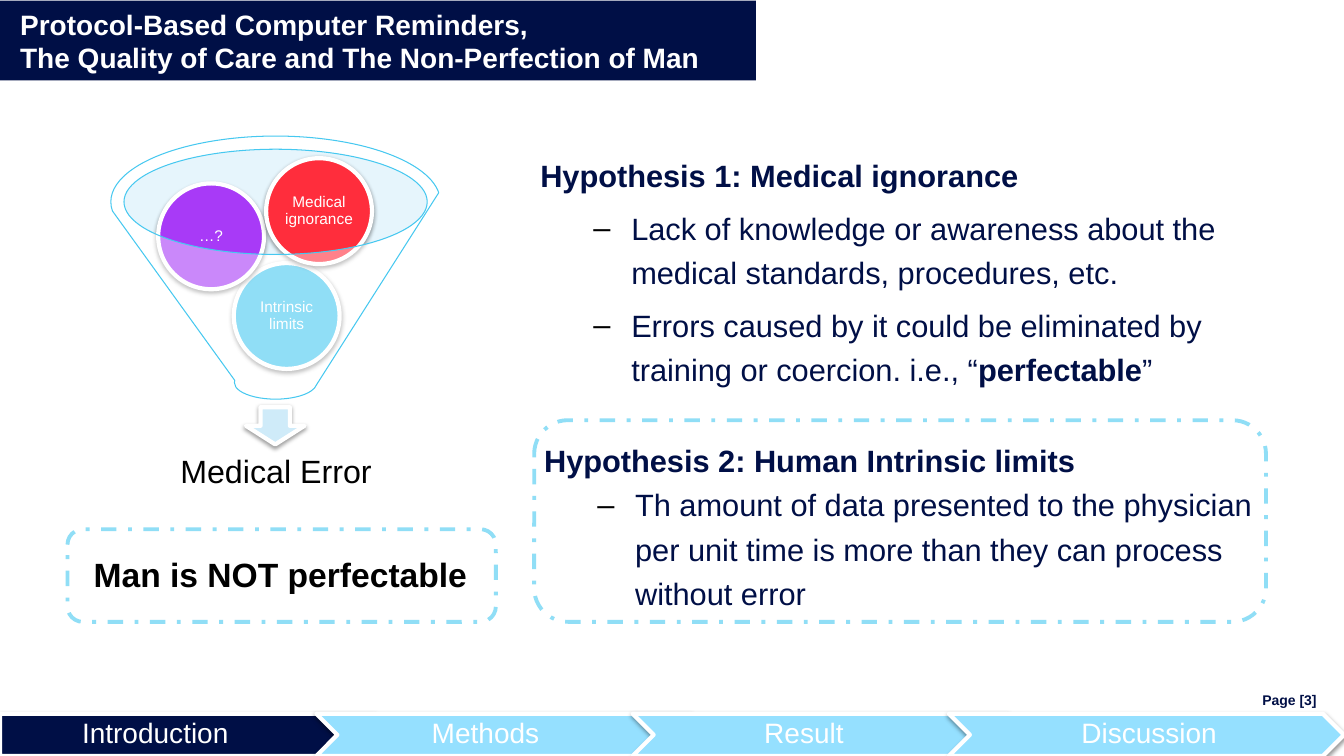
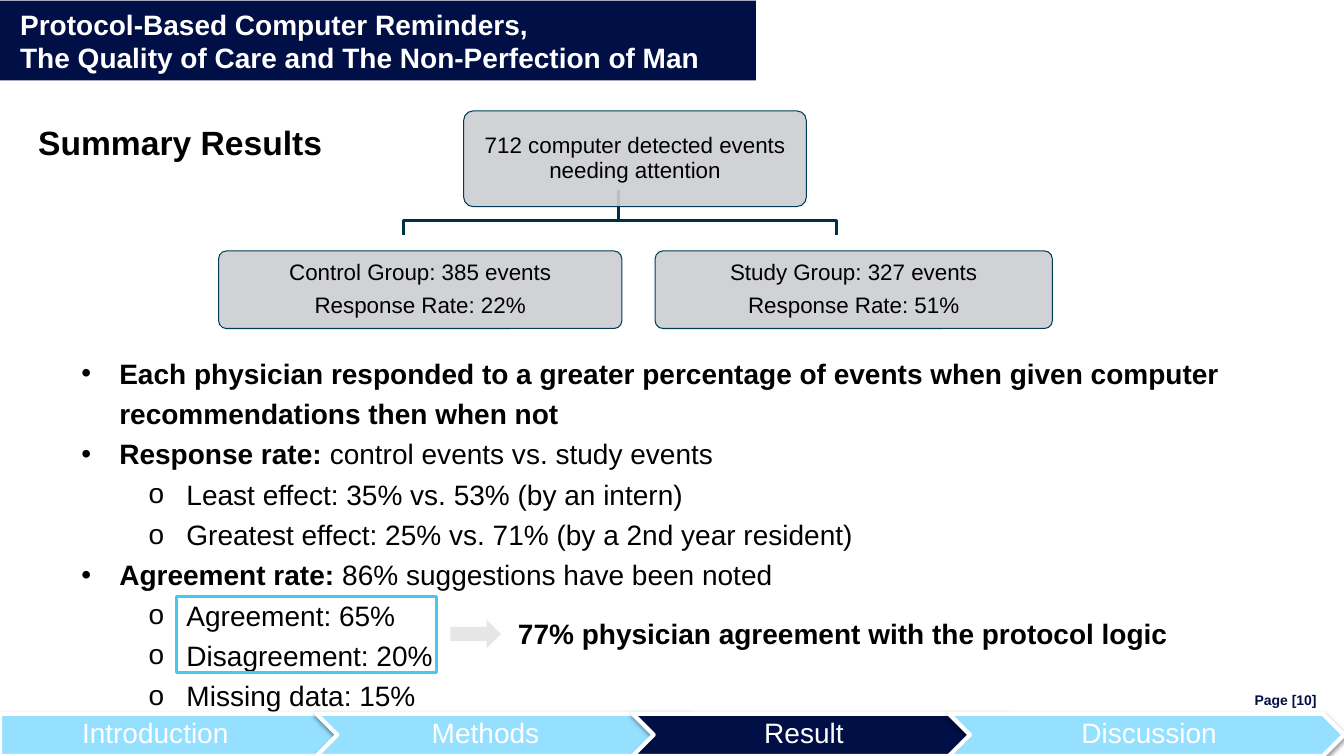
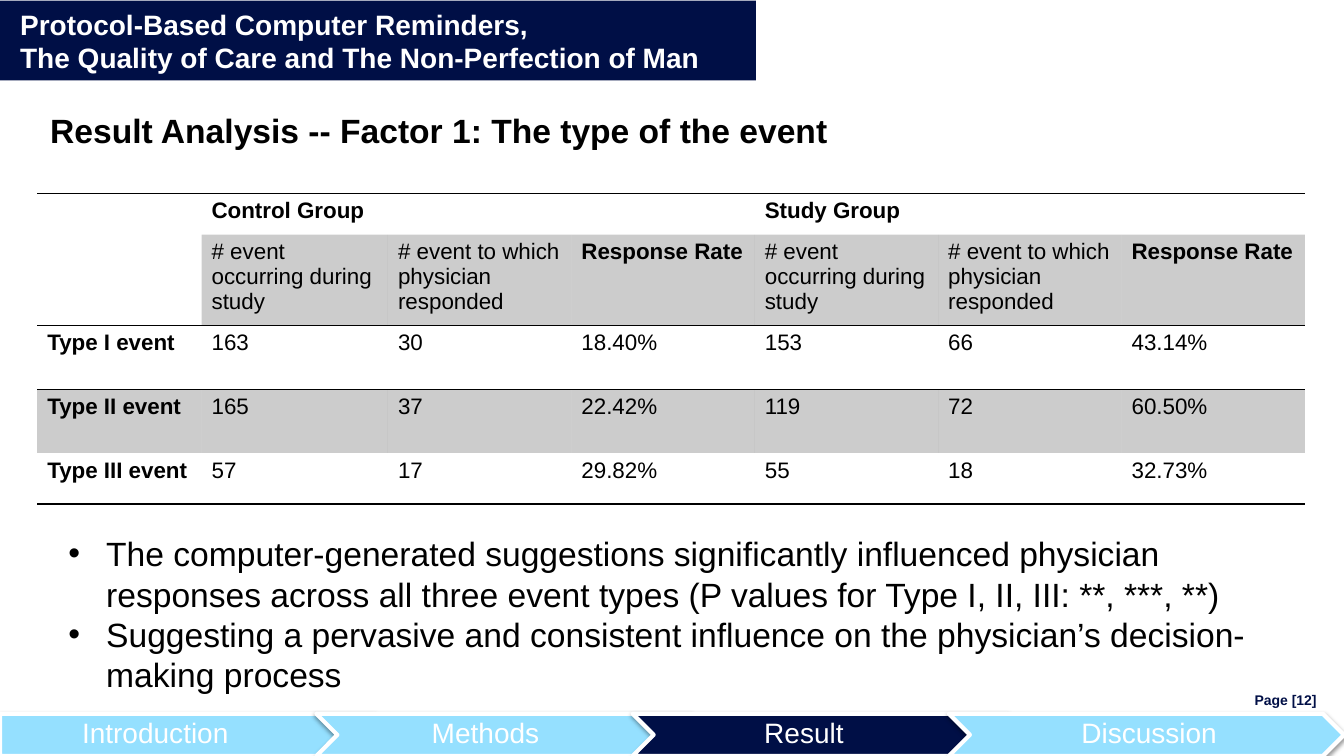
from dataclasses import dataclass
from functools import partial
from typing import NamedTuple

from lxml import etree
from pptx import Presentation
from pptx.dml.color import RGBColor
from pptx.enum.dml import MSO_LINE
from pptx.enum.shapes import MSO_SHAPE
from pptx.enum.text import MSO_ANCHOR, PP_ALIGN
from pptx.oxml.ns import qn
from pptx.util import Pt

LEFT, CENTER, RIGHT = PP_ALIGN.LEFT, PP_ALIGN.CENTER, PP_ALIGN.RIGHT
TOP, MIDDLE = MSO_ANCHOR.TOP, MSO_ANCHOR.MIDDLE
RECTANGLE, ROUNDED, OVAL = MSO_SHAPE.RECTANGLE, MSO_SHAPE.ROUNDED_RECTANGLE, MSO_SHAPE.OVAL
PENTAGON, CHEVRON, FUNNEL = MSO_SHAPE.PENTAGON, MSO_SHAPE.CHEVRON, MSO_SHAPE.FUNNEL
DOWN_ARROW, RIGHT_ARROW = MSO_SHAPE.DOWN_ARROW, MSO_SHAPE.RIGHT_ARROW
DASH_DOT = MSO_LINE.DASH_DOT

FONT = "Arial"
COLORS = {
    "navy": "000F46",
    "white": "FFFFFF",
    "black": "000000",
    "step": "95E0FF",
    "dashes": "90DEF6",
    "sky": "46C8F0",
    "rim": "C1E6F8",
    "down arrow": "CFEBF9",
    "purple": "A83AF7",
    "red": "FF2D3C",
    "card": "CCCED1",
    "card line": "003C55",
    "branch": "003044",
    "right arrow": "E6E6E6",
}
NO_STYLE_NO_GRID = "{2D5ABB26-0587-4C30-8999-92F81FD0307C}"
NO_INSETS = (0, 0, 0, 0)
BOX_INSETS = (7.2, 3.6, 7.2, 3.6)


class Box(NamedTuple):
    left: float
    top: float
    width: float
    height: float

    def lengths(self) -> list:
        return [Pt(value) for value in self]


class Run(NamedTuple):
    text: str
    bold: bool = False


@dataclass(frozen=True)
class Text:
    """One paragraph: a plain string, or runs that differ in weight."""
    content: str | tuple[Run, ...]
    size: float = 20
    color: str = "black"
    bold: bool = False
    align: PP_ALIGN = LEFT
    level: int = 0
    left: float = 0
    bullet: str = ""
    line_spacing: float | Pt = 1.0
    space_after: float = 0


class Line(NamedTuple):
    color: str
    width: float
    dash: MSO_LINE | None = None


class Step(NamedTuple):
    label: str
    indent: float


class Ball(NamedTuple):
    label: str
    color: str
    left: float
    top: float


class Card(NamedTuple):
    box: Box
    lines: tuple[str, ...]


HANGING = 27
Heading = partial(Text, size=24, bold=True)
Label = partial(Text, align=CENTER, line_spacing=0.9)
Hypothesis = partial(Text, size=22, color="navy", bold=True, line_spacing=1.2)
Dash = partial(Text, size=22, color="navy", level=3, left=65, bullet="‒",
               line_spacing=1.2, space_after=6)
Finding = partial(Text, left=HANGING, bullet="•", line_spacing=1.2)
Detail = partial(Text, level=1, left=75, bullet="o", line_spacing=1.2)
Conclusion = partial(Text, size=24, left=HANGING, bullet="•")

TITLE = ("Protocol-Based Computer Reminders,",
         "The Quality of Care and The Non-Perfection of Man")
STEPS = (Step("Introduction", 58.6), Step("Methods", 67.4),
         Step("Result", 79), Step("Discussion", 79.6))


def rgb(name: str) -> RGBColor:
    return RGBColor.from_string(COLORS[name])


def set_alpha(properties, percent: float) -> None:
    """Make the solid fill of a shape or cell partly transparent."""
    color = properties.find(qn("a:solidFill"))[0]
    etree.SubElement(color, qn("a:alpha")).set("val", str(int(percent * 1000)))


def add_drop_shadow(shape) -> None:
    effects = shape.element.spPr.find(qn("a:effectLst"))
    shadow = etree.SubElement(effects, qn("a:outerShdw"), blurRad=str(Pt(3.1)),
                              dist=str(Pt(1.6)), dir="5400000", rotWithShape="0")
    color = etree.SubElement(shadow, qn("a:srgbClr"), val=COLORS["black"])
    etree.SubElement(color, qn("a:alpha"), val="38000")


def add_bullet(paragraph, text: Text) -> None:
    properties = paragraph._p.get_or_add_pPr()
    properties.set("marL", str(Pt(text.left)))
    properties.set("indent", str(-Pt(HANGING)))
    color = etree.SubElement(properties, qn("a:buClr"))
    etree.SubElement(color, qn("a:srgbClr"), val=COLORS["black"])
    etree.SubElement(properties, qn("a:buFont"), typeface=FONT)
    etree.SubElement(properties, qn("a:buChar"), char=text.bullet)


def write(frame, texts: list[Text]) -> None:
    for index, text in enumerate(texts):
        paragraph = frame.add_paragraph() if index else frame.paragraphs[0]
        paragraph.alignment = text.align
        paragraph.level = text.level
        paragraph.line_spacing = text.line_spacing
        paragraph.space_after = Pt(text.space_after)
        if text.bullet:
            add_bullet(paragraph, text)
        font = paragraph.font
        font.name, font.size = FONT, Pt(text.size)
        font.color.rgb = rgb(text.color)
        if isinstance(text.content, str):
            font.bold = text.bold
            paragraph.add_run().text = text.content
            continue
        for part in text.content:
            run = paragraph.add_run()
            run.text, run.font.bold = part.text, part.bold


def fill_frame(frame, texts: list[Text], insets: tuple, anchor: MSO_ANCHOR) -> None:
    frame.word_wrap = True
    frame.vertical_anchor = anchor
    frame.margin_left, frame.margin_top, frame.margin_right, frame.margin_bottom = map(Pt, insets)
    write(frame, texts)


def add_text(slide, box: Box, texts: list[Text], insets: tuple = BOX_INSETS,
             anchor: MSO_ANCHOR = TOP) -> None:
    fill_frame(slide.shapes.add_textbox(*box.lengths()).text_frame, texts, insets, anchor)


def paint(shape, fill: str | None, line: Line | None, alpha: float = 100) -> None:
    shape.shadow.inherit = False
    if fill:
        shape.fill.solid()
        shape.fill.fore_color.rgb = rgb(fill)
        if alpha < 100:
            set_alpha(shape.element.spPr, alpha)
    else:
        shape.fill.background()
    if line:
        shape.line.color.rgb = rgb(line.color)
        shape.line.width = Pt(line.width)
        if line.dash:
            shape.line.dash_style = line.dash
    else:
        shape.line.fill.background()


def add_shape(slide, kind: MSO_SHAPE, box: Box, fill: str | None = None,
              line: Line | None = None, alpha: float = 100, texts: list[Text] | None = None,
              insets: tuple = NO_INSETS):
    shape = slide.shapes.add_shape(kind, *box.lengths())
    paint(shape, fill, line, alpha)
    if texts:
        fill_frame(shape.text_frame, texts, insets, MIDDLE)
    return shape


def add_raised(slide, kind: MSO_SHAPE, box: Box, fill: str,
               texts: list[Text] | None = None, insets: tuple = NO_INSETS) -> None:
    """Add a shape with a thick white outline and a soft shadow."""
    add_drop_shadow(add_shape(slide, kind, box, fill, Line("white", 3),
                              texts=texts, insets=insets))


def add_frame(slide, current: str, page: int) -> None:
    """Add the title band, the page number and the progress bar."""
    add_shape(slide, RECTANGLE, Box(0, 0.5, 540, 57), "navy",
              texts=[Text(line, color="white", bold=True) for line in TITLE],
              insets=(14.4, 0, 0, 0))
    add_text(slide, Box(815.8, 491, 124.6, 17.3),
             [Text(f"Page [{page}]", size=10, color="navy", bold=True, align=RIGHT,
                   line_spacing=Pt(12))], NO_INSETS, MIDDLE)
    for index, step in enumerate(STEPS):
        add_raised(slide, CHEVRON if index else PENTAGON,
                   Box(index * 225.9, 509.8, 282.3, 30.2),
                   "navy" if step.label == current else "step",
                   [Text(step.label, color="white", line_spacing=0.9)],
                   (step.indent, 4, 2, 4))


def add_funnel(slide) -> None:
    add_shape(slide, OVAL, Box(88.6, 106.6, 216.7, 75.6), "rim", alpha=40)
    add_raised(slide, DOWN_ARROW, Box(175.7, 290.9, 41.8, 26.6), "down arrow")
    add_text(slide, Box(96.5, 312.5, 201.6, 50.4), [Label("Medical Error", size=23)],
             anchor=MIDDLE)
    for ball in (Ball("Intrinsic limits", "sky", 167, 187.9),
                 Ball("…?", "purple", 113, 131),
                 Ball("Medical ignorance", "red", 190.1, 113)):
        add_raised(slide, OVAL, Box(ball.left, ball.top, 75.6, 75.6), ball.color,
                   [Label(ball.label, size=11, color="white")], (1.5, 1.5, 1.5, 1.5))
    add_shape(slide, FUNNEL, Box(79.2, 97.2, 235.4, 187.9), "white", Line("sky", 0.75), 40)


def build_hypotheses(slide) -> None:
    add_funnel(slide)
    add_text(slide, Box(59.8, 392.4, 336, 36), [Heading("Man is NOT perfectable")])
    add_text(slide, Box(385.9, 106.6, 509.8, 108), [
        Hypothesis("Hypothesis 1: Medical ignorance", space_after=6),
        Dash("Lack of knowledge or awareness about the medical standards, procedures, etc."),
        Dash((Run("Errors caused by it could be eliminated by training or coercion. i.e., “"),
              Run("perfectable", True), Run("”"))),
    ], NO_INSETS)
    add_text(slide, Box(381.6, 306.7, 522.7, 132.5), [
        Hypothesis("Hypothesis 2: Human Intrinsic limits"),
        Dash("Th amount of data presented to the physician per unit time is more than "
             "they can process without error"),
    ])
    for outline in (Box(48.2, 378, 306, 66.2), Box(381.6, 300.2, 522.7, 144)):
        add_shape(slide, ROUNDED, outline, line=Line("dashes", 2.75, DASH_DOT))


def add_event_tree(slide) -> None:
    trunk, start, bar, end = 442, 136.1, 157.7, 167.8
    for branch in (597.6, 288):
        builder = slide.shapes.build_freeform(Pt(trunk), Pt(start))
        corners = ((trunk, bar), (branch, bar), (branch, end))
        builder.add_line_segments([(Pt(x), Pt(y)) for x, y in corners], close=False)
        paint(builder.convert_to_shape(), None, Line("branch", 2))
    for card in (
        Card(Box(331.2, 79.2, 244.8, 68.4), ("712 computer detected events needing attention",)),
        Card(Box(156.2, 179.3, 288, 55.4), ("Control Group: 385 events", "Response Rate: 22%")),
        Card(Box(468, 179.3, 283.7, 55.4), ("Study Group: 327 events", "Response Rate: 51%")),
    ):
        shape = add_shape(slide, ROUNDED, card.box, "card", Line("card line", 0.75), 90,
                          [Label(line, size=16, space_after=6) for line in card.lines],
                          (5, 5, 5, 5))
        shape.adjustments[0] = 0.1


def build_summary(slide) -> None:
    add_text(slide, Box(20.2, 83.5, 731.5, 36), [Heading("Summary Results")])
    add_event_tree(slide)
    add_text(slide, Box(51.1, 246.2, 858.2, 266.4), [
        Finding("Each physician responded to a greater percentage of events when given "
                "computer recommendations then when not", bold=True),
        Finding((Run("Response rate: ", True), Run("control events vs. study events"))),
        Detail("Least effect: 35% vs. 53% (by an intern)"),
        Detail("Greatest effect: 25% vs. 71% (by a 2nd year resident)"),
        Finding((Run("Agreement rate: ", True), Run("86% suggestions have been noted"))),
        Detail("Agreement: 65%"),
        Detail("Disagreement: 20%"),
        Detail("Missing data: 15%"),
    ])
    add_shape(slide, RECTANGLE, Box(126, 426.2, 185.8, 54), line=Line("sky", 2))
    add_shape(slide, RIGHT_ARROW, Box(321.8, 442.8, 36, 20.2), "right arrow")
    add_text(slide, Box(362.9, 437, 564.5, 31.7),
             [Text("77% physician agreement with the protocol logic", bold=True)])


def add_border(cell, edge: str) -> None:
    line = etree.SubElement(cell._tc.get_or_add_tcPr(), qn(f"a:ln{edge}"), w=str(Pt(1)))
    fill = etree.SubElement(line, qn("a:solidFill"))
    etree.SubElement(fill, qn("a:srgbClr"), val=COLORS["black"])


def add_event_table(slide) -> None:
    measures = ["# event occurring during study", "# event to which physician responded",
                "Response Rate"]
    rows = [
        ["", "Control Group", "", "", "Study Group", "", ""],
        ["", *measures, *measures],
        ["Type I event", "163", "30", "18.40%", "153", "66", "43.14%"],
        ["Type II event", "165", "37", "22.42%", "119", "72", "60.50%"],
        ["Type III event", "57", "17", "29.82%", "55", "18", "32.73%"],
    ]
    widths = [117.4, 133.2] + [131] * 5
    heights = [29.5, 64, 45.5, 45.5, 36.5]
    borders = {0: "T", 2: "T", 4: "B"}
    box = Box(26.6, 138.2, sum(widths), sum(heights))
    table = slide.shapes.add_table(len(rows), len(widths), *box.lengths()).table
    table._tbl.tblPr.find(qn("a:tableStyleId")).text = NO_STYLE_NO_GRID
    table.first_row = table.horz_banding = False
    for column, width in zip(table.columns, widths):
        column.width = Pt(width)
    for row, height in zip(table.rows, heights):
        row.height = Pt(height)
    for first, last in (((0, 0), (1, 0)), ((0, 1), (0, 3)), ((0, 4), (0, 6))):
        table.cell(*first).merge(table.cell(*last))
    for row, values in enumerate(rows):
        for column, value in enumerate(values):
            cell = table.cell(row, column)
            if row in borders:
                add_border(cell, borders[row])
            if row == 3 or (row == 1 and column):
                cell.fill.solid()
                cell.fill.fore_color.rgb = rgb("black")
                set_alpha(cell._tc.tcPr, 20)
            else:
                cell.fill.background()
            if value:
                bold = row == 0 or column == 0 or value == "Response Rate"
                write(cell.text_frame, [Text(value, size=16, bold=bold)])


def build_analysis(slide) -> None:
    add_text(slide, Box(28.8, 74.9, 576, 36),
             [Heading("Result Analysis -- Factor 1: The type of the event")])
    add_event_table(slide)
    add_text(slide, Box(41.8, 377.3, 861.8, 123.8), [
        Conclusion("The computer-generated suggestions significantly influenced physician "
                   "responses across all three event types "
                   "(P values for Type I, II, III: **, ***, **)"),
        Conclusion("Suggesting a pervasive and consistent influence on the physician’s "
                   "decision-making process"),
    ])


def main() -> None:
    presentation = Presentation()
    presentation.slide_width, presentation.slide_height = Pt(960), Pt(540)
    blank = presentation.slide_layouts[6]
    for build, current, page in ((build_hypotheses, "Introduction", 3),
                                 (build_summary, "Result", 10),
                                 (build_analysis, "Result", 12)):
        slide = presentation.slides.add_slide(blank)
        build(slide)
        add_frame(slide, current, page)
    presentation.save("out.pptx")


if __name__ == "__main__":
    main()
